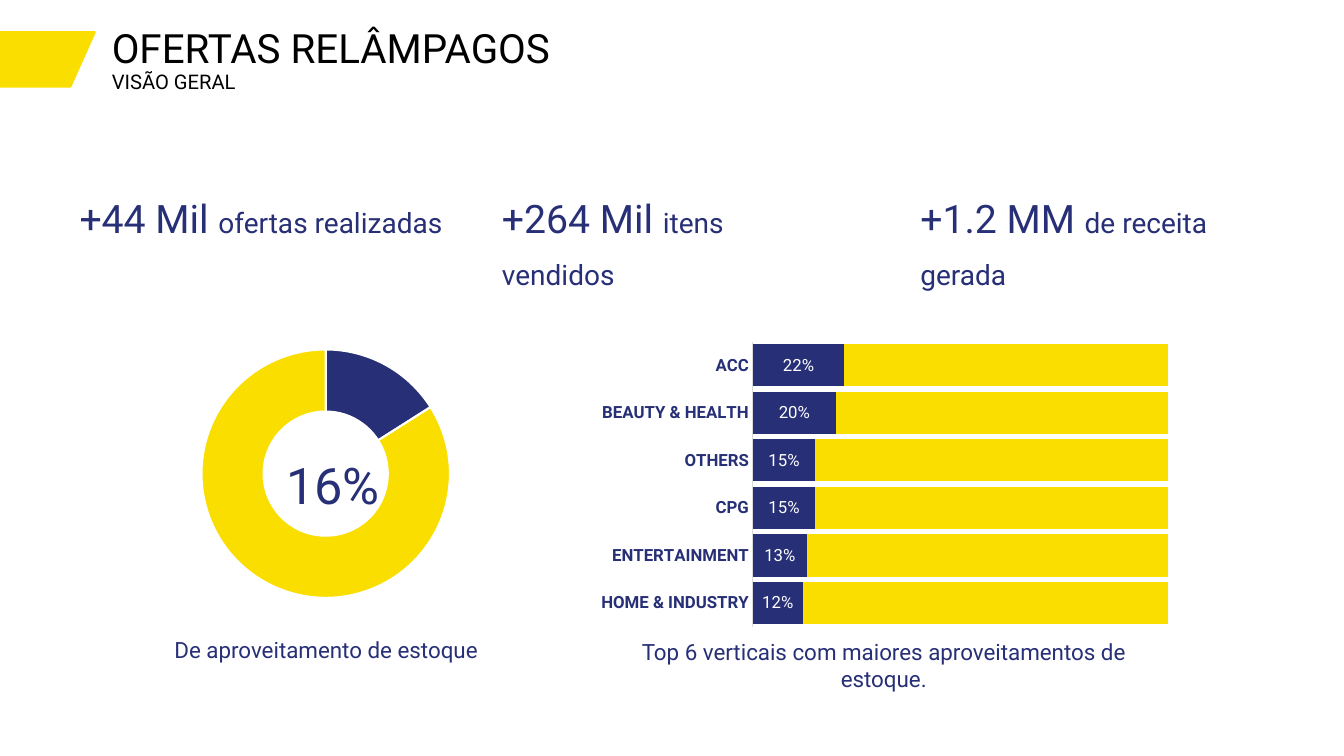
"""Build the flash offers overview slide."""
from lxml import etree
from pptx import Presentation, util as u
from pptx.chart.data import CategoryChartData
from pptx.dml.color import RGBColor
from pptx.enum import chart as ch, shapes, text
from pptx.oxml import ns

WIDTH, HEIGHT = u.Inches(13.33), u.Inches(7.5)
FONT = "Roboto"
COLORS = {"navy": "272F76", "yellow": "FADE00", "black": "000000",
          "white": "FFFFFF", "grey": "D9D9D9"}
LEFT, CENTER = text.PP_ALIGN.LEFT, text.PP_ALIGN.CENTER

# Areas are left, top, width, height in percent of the slide.
MARKER = (-2.03, 4.27, 9.08, 7.2)
TITLE = ((7.58, 5.47, 63.84, 7.6),
         [("OFERTAS RELÂMPAGOS", 28.8), ("VISÃO GERAL", 14.4)])
KPI_ROW = (21.87, 9.6)
KPIS = [(5.18, 28.66, "+44 Mil ", "ofertas realizadas"),
        (36.61, 25.58, "+264 Mil ", "itens vendidos"),
        (67.74, 28.66, "+1.2 MM ", "de receita gerada")]
CAPTIONS = [
    ((20.56, 55.47, 9.53, 12), "16%", 36, LEFT, 1.5),
    ((10.43, 81.73, 27.68, 6.13), "De aproveitamento de estoque", 16, CENTER, 1.5),
    ((45.39, 83.73, 40.74, 4.93),
     "Top 6 verticais com maiores aproveitamentos de estoque.", 16, CENTER, 1.0),
]
STOCK_AREA, STOCK_PLOT = (12.38, 44.4, 23.71, 36.53), (0.11, 0.05, 0.78, 0.9)
STOCK = {"1": 16, "2": 84}
VERTICALS_AREA, VERTICALS_PLOT = (43.51, 44.4, 50.04, 39.33), (0.25, 0.02, 0.74, 0.96)
VERTICALS = {"HOME & INDUSTRY": 0.12, "ENTERTAINMENT": 0.13, "CPG": 0.15,
             "OTHERS": 0.15, "BEAUTY & HEALTH": 0.2, "ACC": 0.22}
PAIR = ("navy", "yellow")


def rgb(name):
    return RGBColor.from_string(COLORS[name])


def place(area):
    return [round(share * side / 100)
            for share, side in zip(area, (WIDTH, HEIGHT) * 2)]


def assign(target, **values):
    for name, value in values.items():
        setattr(target, name, value)


def style(font, size, color, bold=False):
    assign(font, name=FONT, size=u.Pt(size), bold=bold)
    font.color.rgb = rgb(color)


def paint(part_format, color):
    part_format.fill.solid()
    part_format.fill.fore_color.rgb = rgb(color)


def write(slide, area, runs, color="navy", align=LEFT, spacing=1.5,
          anchor=text.MSO_ANCHOR.TOP, fit=text.MSO_AUTO_SIZE.SHAPE_TO_FIT_TEXT,
          stacked=False):
    frame = slide.shapes.add_textbox(*place(area)).text_frame
    assign(frame, word_wrap=True, auto_size=fit, vertical_anchor=anchor)
    paragraph = frame.paragraphs[0]
    assign(paragraph, alignment=align, line_spacing=spacing)
    for index, (words, size) in enumerate(runs):
        if stacked and index:
            paragraph.add_line_break()
        run = paragraph.add_run()
        run.text = words
        style(run.font, size, color)


def add_chart(slide, kind, area, plot_box, categories, series):
    data = CategoryChartData()
    data.categories = categories
    for number, values in enumerate(series, 1):
        data.add_series(f"Series {number}", values)
    chart = slide.shapes.add_chart(kind, *place(area), data).chart
    assign(chart, has_legend=False, has_title=False)
    style(chart.font, 10, "black")
    plot_area = chart.plots[0]._element.getparent()
    for old in plot_area.findall(ns.qn("c:layout")):
        plot_area.remove(old)
    layout = etree.Element(ns.qn("c:layout"))
    manual = etree.SubElement(layout, ns.qn("c:manualLayout"))
    settings = [("layoutTarget", "inner"), ("xMode", "edge"), ("yMode", "edge"),
                *zip("xywh", plot_box)]
    for tag, value in settings:
        etree.SubElement(manual, ns.qn(f"c:{tag}")).set("val", str(value))
    plot_area.insert(0, layout)
    return chart


def add_stock(slide):
    chart = add_chart(slide, ch.XL_CHART_TYPE.DOUGHNUT, STOCK_AREA, STOCK_PLOT,
                      list(STOCK), [list(STOCK.values())])
    ring = chart.plots[0]
    ring._element.find(ns.qn("c:holeSize")).set("val", "75")
    for index, color in enumerate(PAIR):
        slice_format = ring.series[0].points[index].format
        paint(slice_format, color)
        slice_format.line.color.rgb = rgb("white")
        slice_format.line.width = u.Pt(1.5)


def add_verticals(slide):
    used = list(VERTICALS.values())
    chart = add_chart(slide, ch.XL_CHART_TYPE.BAR_STACKED, VERTICALS_AREA,
                      VERTICALS_PLOT, list(VERTICALS),
                      [used, [round(1 - share, 2) for share in used]])
    bars = chart.plots[0]
    assign(bars, gap_width=13, overlap=100, vary_by_categories=False)
    for series, color in zip(bars.series, PAIR):
        paint(series.format, color)
    labels = bars.series[0].data_labels
    assign(labels, show_value=True, number_format="0%", number_format_is_linked=False)
    style(labels.font, 12, "white")
    assign(chart.value_axis, visible=False, has_major_gridlines=False,
           minimum_scale=0, maximum_scale=1.2)
    axis = chart.category_axis
    assign(axis, major_tick_mark=ch.XL_TICK_MARK.NONE,
           minor_tick_mark=ch.XL_TICK_MARK.NONE, has_major_gridlines=False)
    style(axis.tick_labels.font, 12, "navy", True)
    axis.format.line.color.rgb = rgb("grey")
    axis.format.line.width = u.Pt(0.75)


def main():
    deck = Presentation()
    assign(deck, slide_width=WIDTH, slide_height=HEIGHT)
    slide = deck.slides.add_slide(deck.slide_layouts[6])
    marker = slide.shapes.add_shape(shapes.MSO_SHAPE.FLOWCHART_DATA, *place(MARKER))
    marker.shadow.inherit = False
    paint(marker, "yellow")
    marker.line.color.rgb = rgb("yellow")
    marker.line.width = u.Pt(1.5)
    write(slide, *TITLE, color="black", spacing=0.9, stacked=True,
          anchor=text.MSO_ANCHOR.BOTTOM, fit=text.MSO_AUTO_SIZE.NONE)
    top, height = KPI_ROW
    for left, width, figure, label in KPIS:
        write(slide, (left, top, width, height), [(figure, 28), (label, 20)])
    add_stock(slide)
    add_verticals(slide)
    for area, words, size, align, spacing in CAPTIONS:
        write(slide, area, [(words, size)], align=align, spacing=spacing)
    deck.save("out.pptx")


if __name__ == "__main__":
    main()
